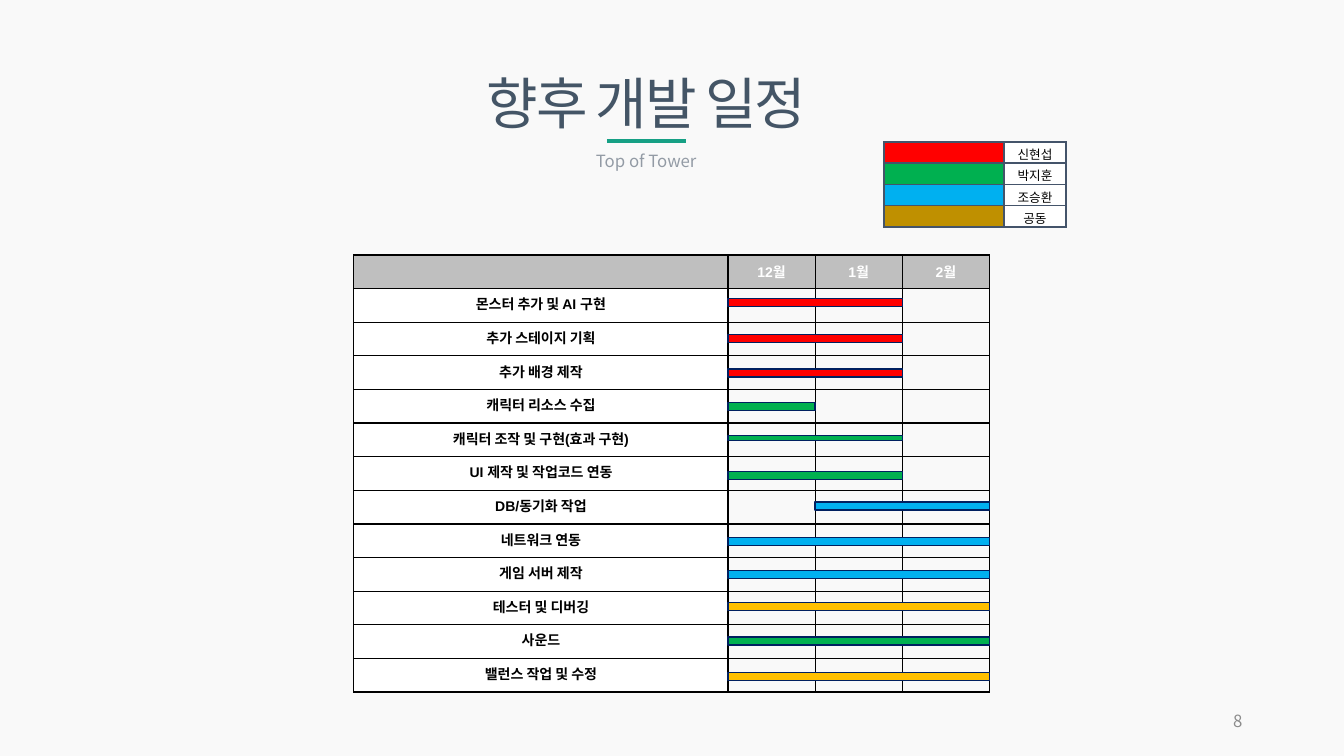
"""Build the development schedule slide with its Gantt table and colour legend."""
from lxml import etree
from pptx import Presentation
from pptx.dml.color import RGBColor
from pptx.enum.shapes import MSO_CONNECTOR, MSO_SHAPE
from pptx.enum.text import MSO_ANCHOR, PP_ALIGN
from pptx.oxml.ns import qn
from pptx.util import Inches, Pt

RECTANGLE = MSO_SHAPE.RECTANGLE
STRAIGHT = MSO_CONNECTOR.STRAIGHT
MIDDLE, TOP = MSO_ANCHOR.MIDDLE, MSO_ANCHOR.TOP
CENTER, RIGHT = PP_ALIGN.CENTER, PP_ALIGN.RIGHT
KOREAN = "Noto Sans CJK KR"
BACKGROUND = RGBColor(0xF9, 0xF9, 0xF9)
BLACK = RGBColor(0, 0, 0)
WHITE = RGBColor(0xFF, 0xFF, 0xFF)
HEADER = RGBColor(0xBF, 0xBF, 0xBF)
SLATE = RGBColor(0x44, 0x55, 0x66)
LEGEND_BORDER = RGBColor(0x44, 0x54, 0x6A)
SUBTITLE = RGBColor(0x93, 0x9B, 0xA5)
PAGE_NUMBER = RGBColor(0x8C, 0x8C, 0x8C)
TEAL = RGBColor(0x16, 0xA0, 0x85)
NAVY = RGBColor(0x00, 0x20, 0x60)
RED = RGBColor(0xFF, 0x00, 0x00)
GREEN = RGBColor(0x00, 0xB0, 0x50)
BLUE = RGBColor(0x00, 0xB0, 0xF0)
AMBER = RGBColor(0xFF, 0xC0, 0x00)
OCHRE = RGBColor(0xBF, 0x90, 0x00)


def write(frame, text, size, color, align=CENTER, font=KOREAN, bold=False):
    frame.word_wrap = True
    para = frame.paragraphs[0]
    para.text = text
    para.alignment = align
    for span in para.runs:
        span.font.size = Pt(size)
        span.font.name = font
        span.font.bold = bold
        span.font.color.rgb = color
        etree.SubElement(span.font._element, qn("a:ea"), typeface=KOREAN)
    etree.SubElement(para._p, qn("a:endParaRPr"), sz=str(size * 100))


def paint_cell(cell, fill, border, width):
    properties = cell._tc.get_or_add_tcPr()
    for side in ("a:lnL", "a:lnR", "a:lnT", "a:lnB"):
        line = etree.SubElement(properties, qn(side), w=str(Pt(width)))
        solid = etree.SubElement(line, qn("a:solidFill"))
        etree.SubElement(solid, qn("a:srgbClr"), val=str(border))
    if fill is None:
        cell.fill.background()
    else:
        cell.fill.solid()
        cell.fill.fore_color.rgb = fill


deck = Presentation()
deck.slide_width, deck.slide_height = Inches(13.33), Inches(7.5)
page = deck.slides.add_slide(deck.slide_layouts[5])
page.background.fill.solid()
page.background.fill.fore_color.rgb = BACKGROUND

MONTHS = ["", "12월", "1월", "2월"]
TASKS = [
    ("몬스터 추가 및 AI 구현", 2.96, 0, 2, RED),
    ("추가 스테이지 기획", 3.32, 0, 2, RED),
    ("추가 배경 제작", 3.66, 0, 2, RED),
    ("캐릭터 리소스 수집", 3.99, 0, 1, GREEN),
    ("캐릭터 조작 및 구현(효과 구현)", 4.32, 0, 2, GREEN),
    ("UI 제작 및 작업코드 연동", 4.68, 0, 2, GREEN),
    ("DB/동기화 작업", 4.98, 1, 2, BLUE),
    ("네트워크 연동", 5.33, 0, 3, BLUE),
    ("게임 서버 제작", 5.66, 0, 3, BLUE),
    ("테스터 및 디버깅", 5.98, 0, 3, AMBER),
    ("사운드", 6.32, 0, 3, GREEN),
    ("밸런스 작업 및 수정", 6.67, 0, 3, AMBER),
]
schedule = page.shapes.add_table(
    len(TASKS) + 1, len(MONTHS), Inches(3.51), Inches(2.53), Inches(6.31), Inches(4.34)
).table
for column, width in zip(schedule.columns, [3.71, 0.865, 0.865, 0.865]):
    column.width = Inches(width)
rows = [MONTHS] + [[task[0], "", "", ""] for task in TASKS]
for row_index, texts in enumerate(rows):
    is_header = row_index == 0
    for column_index, text in enumerate(texts):
        cell = schedule.cell(row_index, column_index)
        fill = HEADER if is_header else WHITE if column_index == 0 else None
        paint_cell(cell, fill, BLACK, 1)
        cell.vertical_anchor = MIDDLE if is_header else TOP
        color = WHITE if is_header else BLACK
        write(cell.text_frame, text, 10, color, font="Arial", bold=True)

MONTH_WIDTH = 0.865
for task, top, start, months, color in TASKS:
    height = 0.05 if task.startswith("캐릭터 조작") else 0.08
    bar = page.shapes.add_shape(
        RECTANGLE, Inches(7.22 + start * MONTH_WIDTH), Inches(top),
        Inches(months * MONTH_WIDTH), Inches(height))
    bar.shadow.inherit = False
    bar.fill.solid()
    bar.fill.fore_color.rgb = color
    bar.line.color.rgb = NAVY
    bar.line.width = Pt(1)

title = page.shapes.title
title.left, title.top = Inches(3.9), Inches(0.63)
title.width, title.height = Inches(5.02), Inches(0.77)
title.text_frame.vertical_anchor = MIDDLE
write(title.text_frame, "향후 개발 일정", 40, SLATE)
title.text_frame.paragraphs[0].runs[0].font._element.set("spc", "-150")

for text, left, top, width, height, color, align in [
    ("Top of Tower", 4.67, 1.45, 3.48, 0.29, SUBTITLE, CENTER),
    ("8", 9.42, 6.95, 3, 0.4, PAGE_NUMBER, RIGHT),
]:
    box = page.shapes.add_textbox(Inches(left), Inches(top), Inches(width), Inches(height))
    box.text_frame.vertical_anchor = MIDDLE
    write(box.text_frame, text, 12, color, align)

underline = page.shapes.add_connector(
    STRAIGHT, Inches(6.02), Inches(1.4), Inches(6.8), Inches(1.4))
underline.line.color.rgb = TEAL
underline.line.width = Pt(3)
etree.SubElement(underline._element.spPr, qn("a:effectLst"))

MEMBERS = [("신현섭", RED), ("박지훈", GREEN), ("조승환", BLUE), ("공동", OCHRE)]
legend = page.shapes.add_table(
    len(MEMBERS), 2, Inches(8.77), Inches(1.41), Inches(1.8), Inches(0.84)).table
legend.columns[0].width, legend.columns[1].width = Inches(1.19), Inches(0.61)
for row_index, (name, color) in enumerate(MEMBERS):
    for column_index, (text, fill) in enumerate([("", color), (name, WHITE)]):
        cell = legend.cell(row_index, column_index)
        paint_cell(cell, fill, LEGEND_BORDER, 1.5)
        cell.margin_left = cell.margin_right = Inches(0.06)
        cell.margin_top, cell.margin_bottom = Inches(0.03), Inches(0)
        write(cell.text_frame, text, 9, BLACK)

deck.save("out.pptx")
